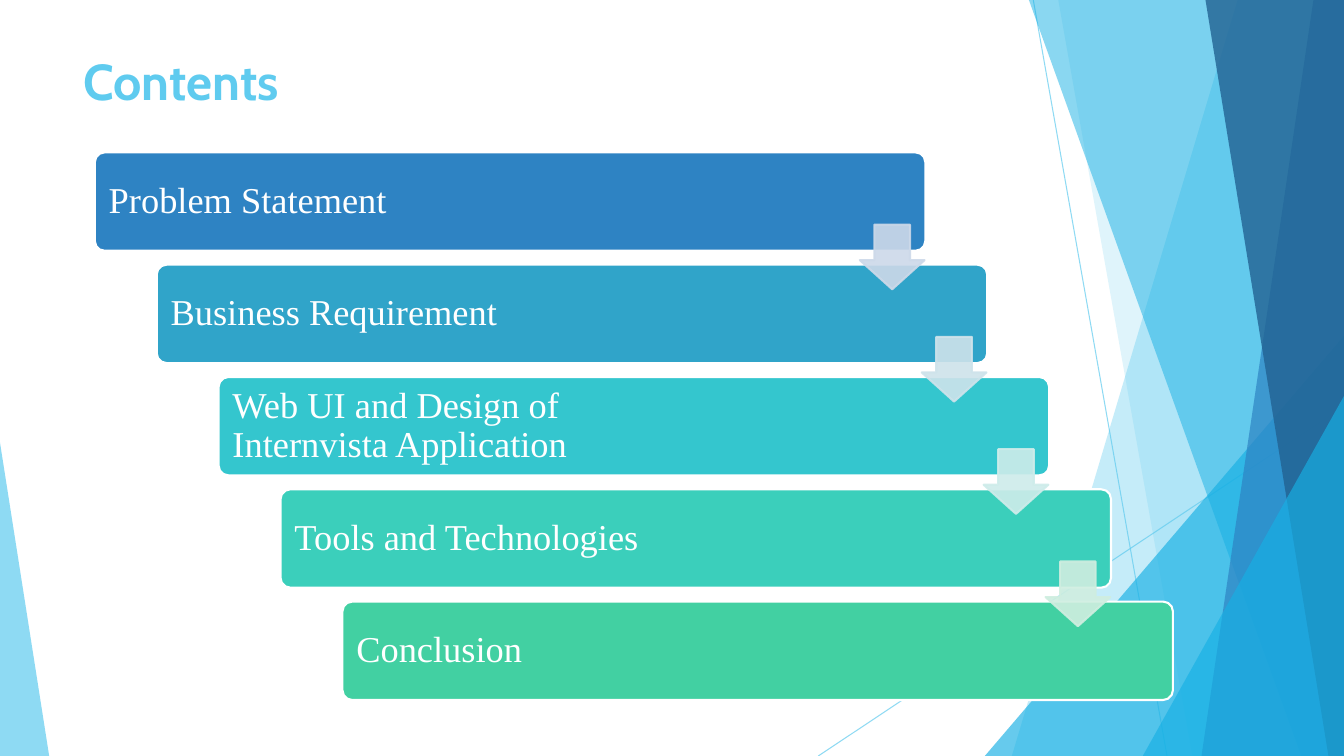
from lxml import etree
from pptx import Presentation, util as u
from pptx.dml.color import RGBColor
from pptx.enum import shapes, text
from pptx.oxml.ns import qn

WIDTH, HEIGHT = 33.87, 19.05
WHITE = RGBColor(0xFF, 0xFF, 0xFF)
SKY = RGBColor(0x5F, 0xCB, 0xEF)
SKY_EDGE = RGBColor(0x53, 0xC3, 0xE9)
AZURE = RGBColor(0x17, 0xB0, 0xE4)
BLUE = RGBColor(0x2E, 0x83, 0xC3)
NAVY = RGBColor(0x22, 0x62, 0x92)
CERULEAN = RGBColor(0x30, 0xA4, 0xC9)
TURQUOISE = RGBColor(0x34, 0xC6, 0xCE)
TEAL = RGBColor(0x3B, 0xCF, 0xBB)
GREEN = RGBColor(0x42, 0xD0, 0xA2)
PALE_BLUE = RGBColor(0xCD, 0xD9, 0xE9)
PALE_CYAN = RGBColor(0xCE, 0xE3, 0xEB)
PALE_TEAL = RGBColor(0xCE, 0xEC, 0xEA)
PALE_GREEN = RGBColor(0xCF, 0xEE, 0xE0)

# Each topic: lines of text, bar colour, width of its text
TOPICS = [
    (["Problem Statement"], BLUE, 17.96),
    (["Business Requirement"], CERULEAN, 17.6),
    (["Web UI and Design of", "Internvista Application"], TURQUOISE, 17.6),
    (["Tools and Technologies"], TEAL, 17.6),
    (["Conclusion"], GREEN, 17.6),
]
ARROW_COLORS = [PALE_BLUE, PALE_CYAN, PALE_TEAL, PALE_GREEN]
STEP_X, STEP_Y = 1.56, 2.83


class ContentsSlide:
    title_font, body_font = "Cabin", "Times New Roman"

    def __init__(self, deck):
        self.slide = deck.slides.add_slide(deck.slide_layouts[6])
        self.shapes = self.slide.shapes

    def paint(self, fill, color, opacity):
        """Give a fill a solid colour with an opacity in percent."""
        fill.solid()
        fill.fore_color.rgb = color
        if opacity < 100:
            for node in fill._xPr.iter(qn("a:srgbClr")):
                if node.getparent().getparent() is fill._xPr:
                    etree.SubElement(node, qn("a:alpha"), val=str(opacity * 1000))

    def line(self, x1, y1, x2, y2, color, opacity):
        line = self.shapes.add_connector(
            shapes.MSO_CONNECTOR.STRAIGHT, u.Cm(x1), u.Cm(y1), u.Cm(x2), u.Cm(y2))
        line.line.width = u.Pt(0.75)
        self.paint(line.line.fill, color, opacity)
        etree.SubElement(line._element.spPr, qn("a:effectLst"))

    def facet(self, top_x, bottom_x, color, opacity):
        """Fill from a slanted left edge to the right side of the slide."""
        corners = [(WIDTH, 0), (WIDTH, HEIGHT), (bottom_x, HEIGHT)]
        builder = self.shapes.build_freeform(u.Cm(top_x), 0)
        builder.add_line_segments([(u.Cm(x), u.Cm(y)) for x, y in corners])
        facet = builder.convert_to_shape()
        facet.shadow.inherit = False
        facet.line.fill.background()
        self.paint(facet.fill, color, opacity)

    def shape(self, kind, left, top, width, height, color, opacity=100,
              adjustments=(), outline=None):
        shape = self.shapes.add_shape(
            kind, u.Cm(left), u.Cm(top), u.Cm(width), u.Cm(height))
        shape.shadow.inherit = False
        for index, value in enumerate(adjustments):
            shape.adjustments[index] = value
        self.paint(shape.fill, color, opacity)
        if outline is None:
            shape.line.fill.background()
        else:
            shape.line.width = u.Pt(1.5)
            self.paint(shape.line.fill, outline, opacity)

    def triangle(self, left, top, width, apex, color, opacity):
        self.shape(shapes.MSO_SHAPE.ISOSCELES_TRIANGLE, left, top, width,
                   HEIGHT - top, color, opacity, [apex])

    def text(self, left, top, width, height, lines, size, font, color,
             anchor, margin=None, spacing=None, bold=False):
        box = self.shapes.add_textbox(
            u.Cm(left), u.Cm(top), u.Cm(width), u.Cm(height))
        frame = box.text_frame
        frame.word_wrap = True
        frame.vertical_anchor = anchor
        if margin is not None:
            frame.margin_left = frame.margin_right = u.Cm(margin)
            frame.margin_top = frame.margin_bottom = u.Cm(margin)
        para = frame.paragraphs[0]
        para.line_spacing = spacing
        for index, line in enumerate(lines):
            if index:
                para.add_line_break()
            span = para.add_run()
            span.text = line
            span.font.name, span.font.size = font, u.Pt(size)
            span.font.bold = bold
            span.font.color.rgb = color
        return para

    def title(self, words):
        para = self.text(1.85, 1.14, 23.88, 2.24, [words], 36, self.title_font,
                         SKY, text.MSO_ANCHOR.TOP, bold=True)
        # Thin outline around the letters
        outline = etree.Element(qn("a:ln"), w=str(u.Pt(0.83)))
        fill = etree.SubElement(outline, qn("a:solidFill"))
        etree.SubElement(fill, qn("a:srgbClr"), val=str(SKY_EDGE))
        para.runs[0].font._element.insert(0, outline)

    def bar(self, index, lines, color, text_width):
        left, top = 2.39 + index * STEP_X, 3.84 + index * STEP_Y
        self.shape(shapes.MSO_SHAPE.ROUNDED_RECTANGLE, left, top, 20.93, 2.48,
                   color, adjustments=[0.1], outline=WHITE)
        self.text(left + 0.07, top + 0.07, text_width, 2.34, lines, 26,
                  self.body_font, WHITE, text.MSO_ANCHOR.MIDDLE, 0.28, 0.9)

    def arrow(self, index, color):
        self.shape(shapes.MSO_SHAPE.DOWN_ARROW, 21.67 + index * STEP_X,
                   5.66 + index * STEP_Y, 1.63, 1.63, color, 90,
                   [0.55, 0.45], color)


def main():
    deck = Presentation()
    deck.slide_width, deck.slide_height = u.Cm(WIDTH), u.Cm(HEIGHT)
    page = ContentsSlide(deck)

    # Faceted background
    page.line(26.04, 0, 29.41, HEIGHT, SKY, 70)
    page.line(WIDTH, 10.24, 20.62, HEIGHT, SKY, 70)
    page.facet(31.19, 25.5, SKY, 36)
    page.facet(26.67, 30.05, SKY, 20)
    page.triangle(24.82, 8.46, 9.05, 1, AZURE, 66)
    page.facet(25.93, 32.79, AZURE, 50)
    page.facet(33.1, 30.28, BLUE, 70)
    page.facet(30.38, 33.48, NAVY, 80)
    page.triangle(28.8, 9.98, 5.07, 1, AZURE, 66)
    page.triangle(0, 11.15, 1.24, 0, SKY, 70)

    # Title and staircase of topics
    page.title("Contents")
    for index, topic in enumerate(TOPICS):
        page.bar(index, *topic)
    for index, color in enumerate(ARROW_COLORS):
        page.arrow(index, color)

    deck.save("out.pptx")


if __name__ == "__main__":
    main()
